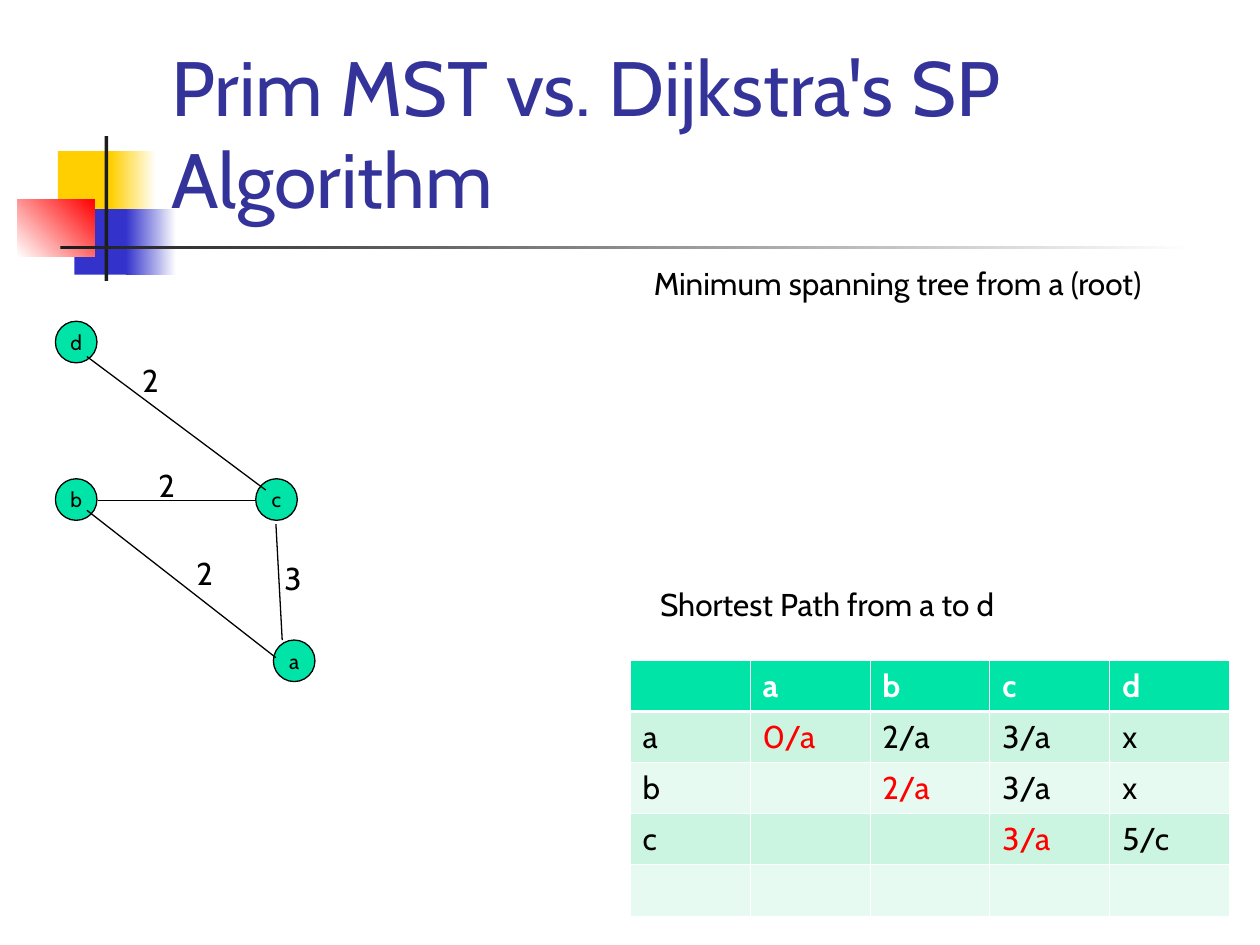
from lxml.etree import SubElement as Sub
from pptx import Presentation
from pptx.dml.color import RGBColor as RGB
from pptx.enum.shapes import MSO_CONNECTOR as Link, MSO_SHAPE as Kind
from pptx.enum.text import MSO_ANCHOR as Anchor, PP_ALIGN as Align
from pptx.oxml.ns import qn
from pptx.util import Inches, Pt

FONT = "Cabin"
BLACK = RGB(0, 0, 0)
WHITE = RGB(255, 255, 255)
RED = RGB(255, 0, 0)
YELLOW = RGB(0xFF, 0xCF, 0x01)
BLUE = RGB(0x33, 0x33, 0xCC)
NAVY = RGB(0x33, 0x33, 0x99)
DARK = RGB(0x1C, 0x1C, 0x1C)
GREEN = RGB(0x00, 0xE4, 0xA8)
MINT = RGB(0xCB, 0xF5, 0xE1)
PALE = RGB(0xE7, 0xFA, 0xF1)

DECOR = [
    ((0.46, 1.2, 0.48, 0.52), [YELLOW], 0),
    ((0.88, 1.2, 0.36, 0.52), [YELLOW, WHITE], 0),
    ((0.59, 1.66, 0.46, 0.52), [BLUE], 0),
    ((1, 1.66, 0.4, 0.52), [BLUE, WHITE], 0),
    ((0.14, 1.58, 0.61, 0.46), [WHITE, RED], 45),
    ((0.83, 1.08, 0.03, 1.15), [DARK], 0),
    ((0.48, 1.95, 9, 0.03), [DARK, WHITE], 0),
]
NODES = {"d": (0.44, 2.55), "b": (0.44, 3.8), "c": (2.03, 3.8), "a": (2.17, 5.08)}
EDGES = [
    (0.78, 3.97, 2.03, 3.97),
    (2.19, 4.16, 2.24, 5.08),
    (0.69, 2.83, 2.11, 3.89),
    (0.69, 4.05, 2.19, 5.22),
]
LABELS = [
    ("2", 1.03, 2.82, 0.34),
    ("2", 1.16, 3.65, 0.34),
    ("2", 1.46, 4.35, 0.34),
    ("3", 2.16, 4.39, 0.34),
    ("Shortest Path from a to d", 5.14, 4.59, 3.16),
    ("Minimum spanning tree from a (root)", 5.09, 2.05, 4.59),
]
STEPS = [
    ["", "a", "b", "c", "d"],
    ["a", "0/a", "2/a", "3/a", "x"],
    ["b", "", "2/a", "3/a", "x"],
    ["c", "", "", "3/a", "5/c"],
    [""] * 5,
]


def add_run(frame, text, size=18, color=BLACK, bold=False):
    run = frame.paragraphs[0].add_run()
    run.text = text
    font = run.font
    font.name, font.size, font.bold = FONT, Pt(size), bold
    font.color.rgb = color


def add_block(slide, box, colors, angle):
    block = slide.shapes.add_shape(Kind.RECTANGLE, *map(Inches, box))
    block.shadow.inherit = False
    block.line.fill.background()
    fill = block.fill
    if len(colors) == 1:
        fill.solid()
        fill.fore_color.rgb = colors[0]
        return
    fill.gradient()
    fill.gradient_angle = angle
    for stop, color in zip(fill.gradient_stops, colors):
        stop.color.rgb = color


def add_label(slide, text, left, top, width, height=0.4, size=18,
              color=BLACK, anchor=Anchor.TOP):
    box = slide.shapes.add_textbox(*map(Inches, (left, top, width, height)))
    frame = box.text_frame
    frame.word_wrap = True
    frame.vertical_anchor = anchor
    add_run(frame, text, size, color)


def add_node(slide, name, left, top):
    node = slide.shapes.add_shape(Kind.OVAL, *map(Inches, (left, top, 0.33, 0.33)))
    node.shadow.inherit = False
    node.fill.solid()
    node.fill.fore_color.rgb = GREEN
    node.line.color.rgb = BLACK
    node.line.width = Pt(0.75)
    frame = node.text_frame
    frame.word_wrap = False
    frame.vertical_anchor = Anchor.MIDDLE
    frame.paragraphs[0].alignment = Align.CENTER
    add_run(frame, name, 12)


def add_edge(slide, ends):
    edge = slide.shapes.add_connector(Link.STRAIGHT, *map(Inches, ends))
    edge.line.color.rgb = BLACK
    edge.line.width = Pt(0.75)
    Sub(edge._element.spPr, qn("a:effectLst"))


def add_border(cell, side, width):
    props = cell._tc.get_or_add_tcPr()
    line = Sub(props, qn(f"a:ln{side}"), w=str(Pt(width)))
    Sub(Sub(line, qn("a:solidFill")), qn("a:srgbClr"), val=str(WHITE))


def add_steps(slide):
    box = map(Inches, (5, 5.24, 4.76, 2.03))
    table = slide.shapes.add_table(len(STEPS), len(STEPS[0]), *box).table
    for i, row in enumerate(STEPS):
        for j, text in enumerate(row):
            cell = table.cell(i, j)
            for side in "LRTB":
                thick = (i, side) in ((0, "B"), (1, "T"))
                add_border(cell, side, 1.47 if thick else 0.45)
            cell.fill.solid()
            cell.fill.fore_color.rgb = GREEN if i == 0 else MINT if i % 2 else PALE
            if text:
                color = WHITE if i == 0 else RED if i == j else BLACK
                add_run(cell.text_frame, text, 18, color, i == 0)


def main():
    deck = Presentation()
    deck.slide_width, deck.slide_height = Inches(10), Inches(7.5)
    slide = deck.slides.add_slide(deck.slide_layouts[6])
    for box, colors, angle in DECOR:
        add_block(slide, box, colors, angle)
    add_label(slide, "Prim MST vs. Dijkstra's SP Algorithm", 1.26, 0.23, 8.52,
              1.6, 44, NAVY, Anchor.BOTTOM)
    for name, spot in NODES.items():
        add_node(slide, name, *spot)
    for ends in EDGES:
        add_edge(slide, ends)
    add_steps(slide)
    for label in LABELS:
        add_label(slide, *label)
    deck.save("out.pptx")


if __name__ == "__main__":
    main()
